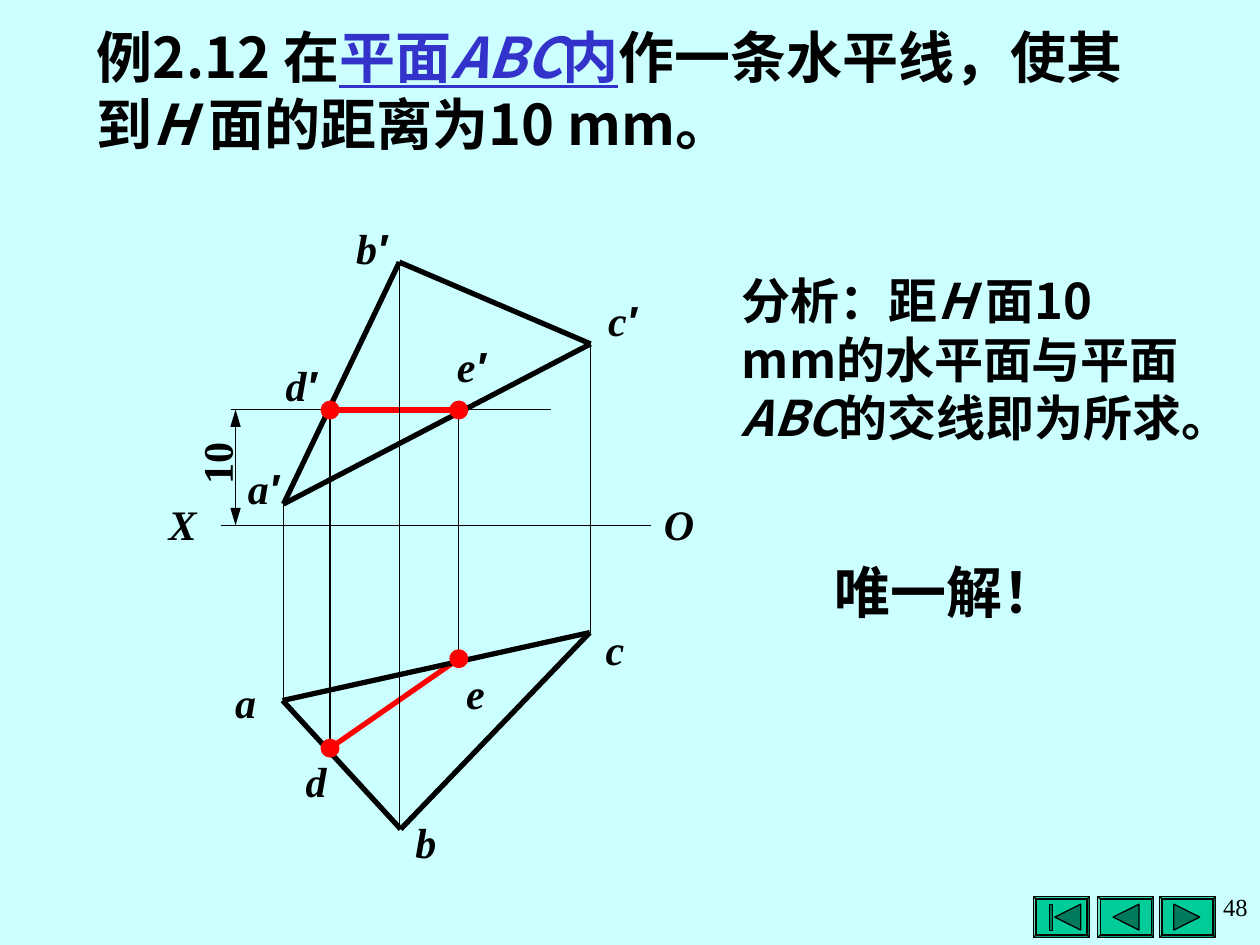
from pptx import Presentation
from pptx.dml.color import RGBColor
from pptx.enum.shapes import MSO_CONNECTOR as CONN, MSO_SHAPE as SHAPE
from pptx.enum.text import MSO_ANCHOR as ANCHOR, MSO_AUTO_SIZE as AUTO, PP_ALIGN as ALIGN
from pptx.oxml.ns import qn
from pptx.util import Pt

COLORS = {"bg": "CCFFFF", "ink": "000000", "link": "3333CC", "red": "FF0000",
          "button": "00CC99", "icon": "007A5C"}
CJK, SERIF, SANS = "Noto Sans CJK SC", "Times New Roman", "Arial"


def rgb(name):
    """Return the named colour."""
    return RGBColor.from_string(COLORS[name])


def add_run(p, text, size, font=CJK, color="ink", bold=True, italic=False, underline=False):
    """Append a formatted run to a paragraph."""
    r = p.add_run()
    r.text = text
    f = r.font
    f.size, f.name, f.bold, f.italic = Pt(size), font, bold, italic
    f.underline = underline
    f.color.rgb = rgb(color)
    ea = r._r.get_or_add_rPr().makeelement(qn("a:ea"), {"typeface": CJK})
    r._r.rPr.append(ea)


def add_text(slide, box, runs, size, align=ALIGN.LEFT, anchor=ANCHOR.TOP, wrap=True, spacing=None):
    """Add a one-paragraph text box from (text, options) runs."""
    sp = slide.shapes.add_textbox(*map(Pt, box))
    tf = sp.text_frame
    tf.word_wrap, tf.vertical_anchor = wrap, anchor
    p = tf.paragraphs[0]
    p.alignment = align
    if spacing:
        p.line_spacing = Pt(spacing)
    for text, options in runs:
        add_run(p, text, size, **options)
    return sp


def paint(sp, fill, line, width):
    """Give a shape a flat fill and outline."""
    sp.shadow.inherit = False
    sp.fill.solid()
    sp.fill.fore_color.rgb = rgb(fill)
    sp.line.color.rgb = rgb(line)
    sp.line.width = Pt(width)


def add_line(slide, start, end, color="ink", width=0.75, arrows=False):
    """Draw a straight line, optionally with arrowheads at both ends."""
    sp = slide.shapes.add_connector(CONN.STRAIGHT, *map(Pt, (*start, *end)))
    sp.line.color.rgb = rgb(color)
    sp.line.width = Pt(width)
    sppr = sp._element.spPr
    if arrows:
        ln = sp.line._get_or_add_ln()
        for tag in ("a:headEnd", "a:tailEnd"):
            ln.append(ln.makeelement(qn(tag), {"type": "triangle", "w": "med", "len": "lg"}))
    sppr.append(sppr.makeelement(qn("a:effectLst"), {}))


def add_title(slide, box):
    """Fill the title placeholder with the problem statement."""
    sp = slide.shapes.title
    sp.left, sp.top, sp.width, sp.height = map(Pt, box)
    tf = sp.text_frame
    tf.vertical_anchor, tf.auto_size = ANCHOR.MIDDLE, AUTO.NONE
    p = tf.paragraphs[0]
    p.alignment, p.line_spacing = ALIGN.LEFT, Pt(38.4)
    link = {"color": "link", "underline": True}
    for text, options in (("例2.12 在", {}), ("平面", link), ("ABC", {**link, "italic": True}),
                          ("内", link), ("作一条水平线，使其到", {}),
                          ("H ", {"italic": True}), ("面的距离为10 mm。", {})):
        add_run(p, text, 32, **options)


def add_diagram(slide, box):
    """Draw the two-view projection of triangle ABC and line DE."""
    x0, y0 = box[:2]

    def at(x, y):
        return x0 + x, y0 + y

    points = {"a′": (72, 168), "b′": (138.2, 29.8), "c′": (247.5, 76.5),
              "d′": (98.6, 114.3), "e′": (172.2, 114.3),
              "a": (71.5, 280.3), "b": (139, 353.8), "c": (247, 241.5),
              "d": (98.6, 307.5), "e": (172.2, 256.4)}
    labels = {"a′": (60.5, 158.6), "b′": (122.4, 21.8), "c′": (265.7, 62.9),
              "d′": (82.1, 99.6), "e′": (179.3, 88.8),
              "a": (50.4, 281), "b": (153.4, 361), "c": (261.4, 250.8),
              "d": (90.7, 326.4), "e": (181.8, 276),
              "X": (14.4, 179.5), "O": (298, 179.5), "10": (33.5, 145)}
    axis_y, level_y, dim_x = 180.2, 114, 44.6

    add_line(slide, at(41.8, level_y), at(224.6, level_y))
    add_line(slide, at(36, axis_y), at(282.2, axis_y))
    add_line(slide, at(dim_x, level_y), at(dim_x, axis_y), arrows=True)
    for view in ("′", ""):
        add_line(slide, at(*points["d" + view]), at(*points["e" + view]), "red", 3)
        for start, end in ("ab", "bc", "ca"):
            add_line(slide, at(*points[start + view]), at(*points[end + view]), width=3)
    for name in "abcde":
        x, top = points[name + "′"]
        add_line(slide, at(x, top), at(x, points[name][1]))

    radius = 4.3
    for name in ("d′", "e′", "d", "e"):
        x, y = at(*points[name])
        dot = slide.shapes.add_shape(SHAPE.OVAL, Pt(x - radius), Pt(y - radius),
                                     Pt(2 * radius), Pt(2 * radius))
        paint(dot, "red", "red", 2.25)

    w, h = 52, 36
    for name, center in labels.items():
        x, y = at(*center)
        runs = [(name.rstrip("′"), {"font": SERIF, "italic": name != "10"})]
        if name.endswith("′"):
            runs.append(("′", {"font": SANS, "italic": True}))
        sp = add_text(slide, (x - w / 2, y - h / 2, w, h), runs, 24,
                      ALIGN.CENTER, ANCHOR.MIDDLE, wrap=name == "10")
        if name == "10":
            sp.rotation = 270


def add_analysis(slide, box):
    """Write the analysis and its conclusion below."""
    x, y, w, h = box
    italic = {"italic": True}
    add_text(slide, (x, y, w, h),
             [("分析：距", {}), ("H ", italic), ("面10 mm的水平面与平面", {}),
              ("ABC", italic), ("的交线即为所求。", {})], 28, spacing=33.6)
    add_text(slide, (x + 53, y + 164, 180, 46), [("唯一解！", {"font": SERIF})], 32,
             anchor=ANCHOR.MIDDLE, spacing=38.4)


def add_button(slide, box, icons):
    """Draw a bevelled navigation button with its icon outlines."""
    x, y = box[:2]
    sp = slide.shapes.add_shape(SHAPE.BEVEL, *map(Pt, box))
    sp.adjustments[0] = 0.06
    paint(sp, "button", "ink", 0.75)
    for icon in icons:
        start, *rest = [(Pt(x + dx), Pt(y + dy)) for dx, dy in icon]
        fb = slide.shapes.build_freeform(*start)
        fb.add_line_segments(rest, close=True)
        paint(fb.convert_to_shape(), "icon", "ink", 0.75)


def add_navigation(slide, box):
    """Place the three buttons and the page number."""
    x, y, w, h = box
    bar = [(9.2, 4.4), (10.8, 4.4), (10.8, 19.4), (9.2, 19.4)]
    back = [(8.8, 11.8), (23.6, 4.4), (23.6, 19.2)]
    forward = [(8.2, 4.4), (23, 11.8), (8.2, 19.2)]
    first = [(dx + 3.4, dy) for dx, dy in back]
    for left, icons in ((0, [bar, first]), (36.7, [back]), (72, [forward])):
        add_button(slide, (x + left, y, 32, h), icons)
    add_text(slide, (x + w - 60, y - 6, 60, 30),
             [("48", {"font": SERIF, "bold": False})], 14, ALIGN.RIGHT)


def main():
    """Build and save the slide."""
    prs = Presentation()
    prs.slide_width, prs.slide_height = Pt(720), Pt(540)
    slide = prs.slides.add_slide(prs.slide_layouts[5])
    slide.background.fill.solid()
    slide.background.fill.fore_color.rgb = rgb("bg")
    add_title(slide, (48.2, 8.9, 629.3, 84.2))
    add_diagram(slide, (90, 120, 320, 380))
    add_analysis(slide, (416.9, 151, 269.3, 142))
    add_navigation(slide, (590.6, 512.3, 129.4, 23.4))
    prs.save("out.pptx")


if __name__ == "__main__":
    main()
